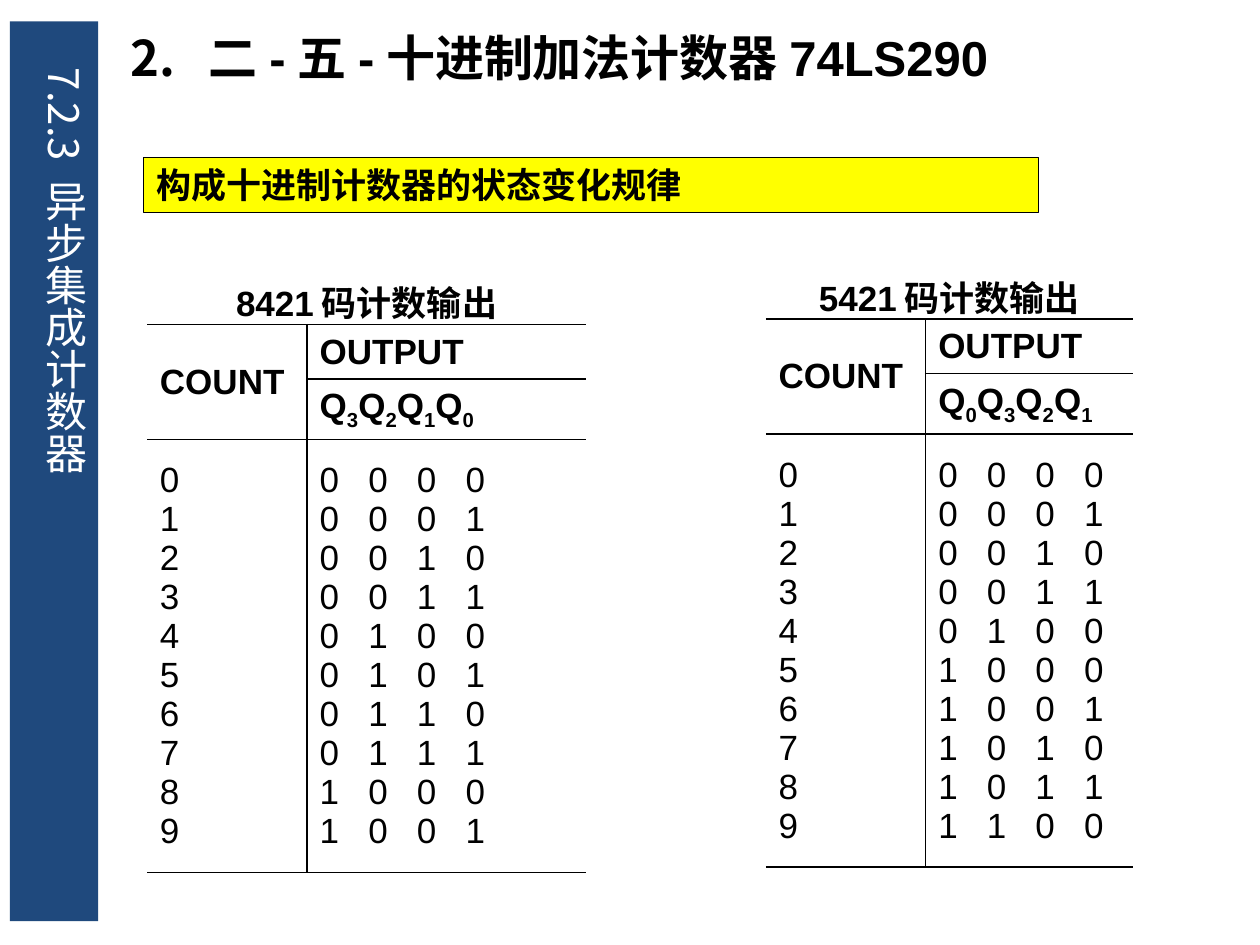
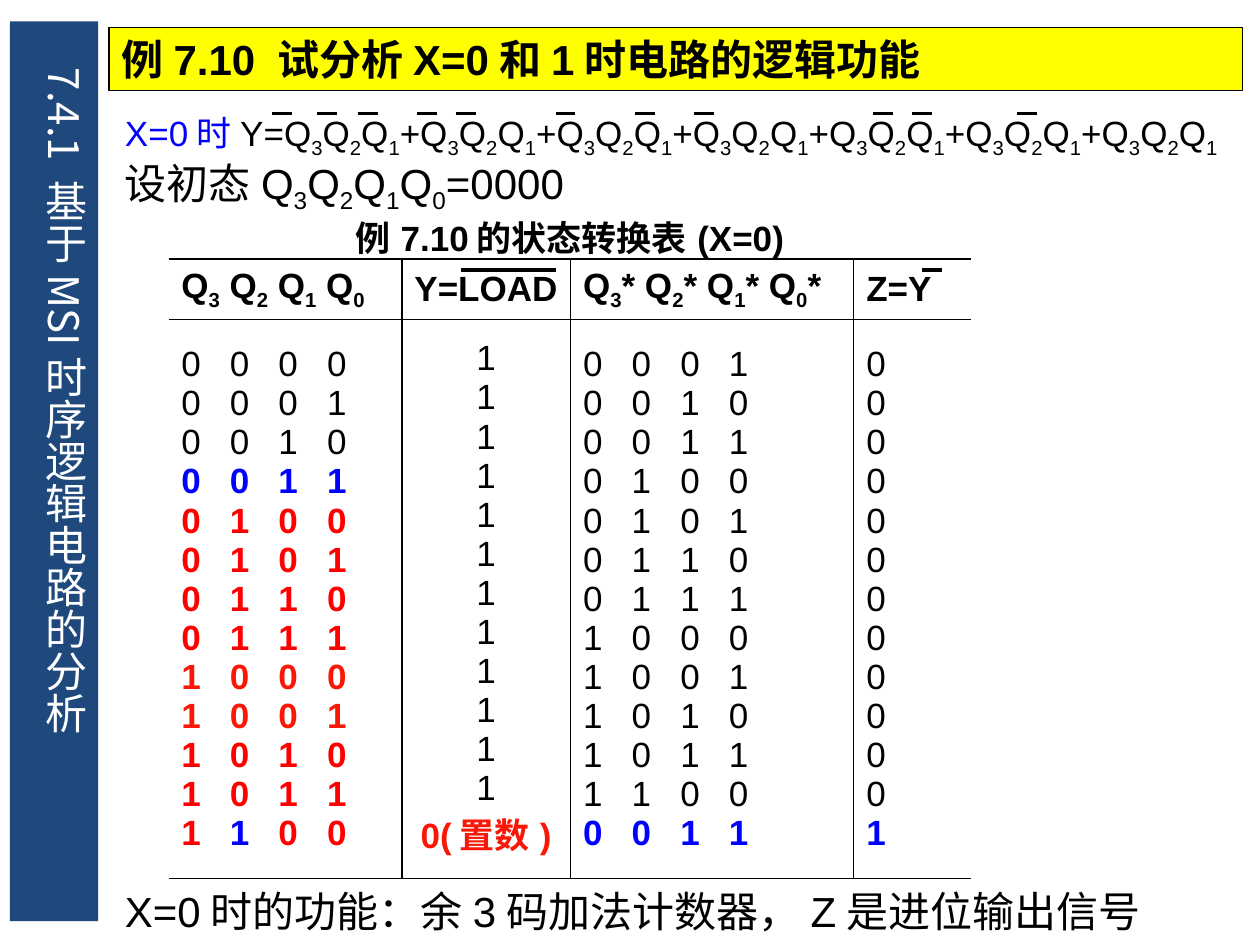
from lxml import etree
from pptx import Presentation
from pptx import util as u
from pptx.dml.color import RGBColor
from pptx.enum import shapes, text
from pptx.oxml.ns import qn

NAVY = RGBColor(0x1F, 0x49, 0x7D)
YELLOW = RGBColor(0xFF, 0xFF, 0x00)
BLACK = RGBColor(0x00, 0x00, 0x00)
WHITE = RGBColor(0xFF, 0xFF, 0xFF)
BLUE = RGBColor(0x00, 0x00, 0xFF)
RED = RGBColor(0xFF, 0x00, 0x00)
SCARLET = RGBColor(0xF9, 0x18, 0x07)

LATIN = "Arial"
CHINESE = "Noto Sans CJK SC"
NO_STYLE_NO_GRID = "{2D5ABB26-0587-4C30-8999-92F81FD0307C}"
BIT_PITCH = 0.98
HEADER_HEIGHT = 1.1


def write(frame, lines, size, bold=False, colour=BLACK, latin=LATIN):
    """Fill a text frame. A line is a string or a list of (text, colour, bold);
    an underscore makes the next character a subscript, tabs part the bits."""
    frame.word_wrap = True
    for index, line in enumerate(lines):
        paragraph = frame.add_paragraph() if index else frame.paragraphs[0]
        paragraph.alignment = text.PP_ALIGN.LEFT
        pieces = [(line, colour, bold)] if isinstance(line, str) else line
        if any("\t" in piece[0] for piece in pieces):
            stops = etree.SubElement(paragraph._p.get_or_add_pPr(), qn("a:tabLst"))
            for stop in range(1, 4):
                etree.SubElement(stops, qn("a:tab"), pos=str(u.Cm(stop * BIT_PITCH)), algn="l")
        for content, piece_colour, piece_bold in pieces:
            first, *others = content.split("_")
            runs = [(first, False)]
            for other in others:
                runs += [(other[0], True), (other[1:], False)]
            for run_text, subscript in runs:
                if not run_text:
                    continue
                run = paragraph.add_run()
                run.text = run_text
                run.font.size = u.Pt(size)
                run.font.bold = piece_bold
                run.font.color.rgb = piece_colour
                run.font.name = latin
                properties = run._r.get_or_add_rPr()
                etree.SubElement(properties, qn("a:ea"), typeface=CHINESE)
                if subscript:
                    properties.set("baseline", "-25000")


def add_state_table(slide, left, top, widths, body_height, caption, headers, columns):
    """Add a ruled table: caption, bold header rows, one tall row of states."""
    rows = [[[caption]]] + [[[label] if label else None for label in row] for row in headers]
    rows.append(columns)
    heights = [HEADER_HEIGHT] * (len(rows) - 1) + [body_height]
    table = slide.shapes.add_table(len(rows), len(widths), u.Cm(left), u.Cm(top),
                                   u.Cm(sum(widths)), u.Cm(sum(heights))).table
    table.first_row = table.horz_banding = False
    table._tbl.tblPr.find(qn("a:tableStyleId")).text = NO_STYLE_NO_GRID
    for column, width in zip(table.columns, widths):
        column.width = u.Cm(width)
    for row, height in zip(table.rows, heights):
        row.height = u.Cm(height)
    table.cell(0, 0).merge(table.cell(0, len(widths) - 1))
    if len(headers) == 2:
        table.cell(1, 0).merge(table.cell(2, 0))

    for row_index, row in enumerate(rows):
        for column_index in range(len(widths)):
            cell = table.cell(row_index, column_index)
            edges = ["a:lnB"]
            if row_index and column_index < len(widths) - 1:
                edges.insert(0, "a:lnR")
            for edge in edges:
                border = etree.SubElement(cell._tc.get_or_add_tcPr(), qn(edge), w=str(u.Pt(1)))
                fill = etree.SubElement(border, qn("a:solidFill"))
                etree.SubElement(fill, qn("a:srgbClr"), val=str(BLACK))
            cell.fill.background()
            cell.vertical_anchor = text.MSO_ANCHOR.MIDDLE
            if column_index < len(row) and row[column_index]:
                write(cell.text_frame, row[column_index], 20, bold=row_index < len(rows) - 1)
    table.cell(0, 0).text_frame.paragraphs[0].alignment = text.PP_ALIGN.CENTER
    return table


presentation = Presentation()
presentation.slide_width = u.Cm(25.4)
presentation.slide_height = u.Cm(19.05)

# Both slides: side band with vertical title, and a yellow topic box
slides = []
for section, topic, size, (left, top, width, height) in [
    ("7.2.3 异步集成计数器", "构成十进制计数器的状态变化规律", 20, (2.9, 3.17, 18.03, 1.11)),
    ("7.4.1 基于MSI时序逻辑电路的分析", "例7.10 试分析X=0和1时电路的逻辑功能", 24,
     (2.2, 0.55, 22.85, 1.27)),
]:
    slide = presentation.slides.add_slide(presentation.slide_layouts[6])
    slides.append(slide)
    band = slide.shapes.add_shape(shapes.MSO_SHAPE.RECTANGLE,
                                  u.Cm(0.2), u.Cm(0.43), u.Cm(1.78), u.Cm(18.14))
    band.shadow.inherit = False
    band.fill.solid()
    band.fill.fore_color.rgb = NAVY
    band.line.fill.background()

    title = slide.shapes.add_textbox(u.Cm(0.3), u.Cm(1.12), u.Cm(1.65), u.Cm(17.07))
    write(title.text_frame, [section], 24, colour=WHITE, latin=CHINESE)
    title.text_frame._txBody.bodyPr.set("vert", "eaVert")

    topic_box = slide.shapes.add_shape(shapes.MSO_SHAPE.RECTANGLE,
                                       u.Cm(left), u.Cm(top), u.Cm(width), u.Cm(height))
    topic_box.shadow.inherit = False
    topic_box.fill.solid()
    topic_box.fill.fore_color.rgb = YELLOW
    topic_box.line.color.rgb = BLACK
    topic_box.line.width = u.Pt(0.75)
    write(topic_box.text_frame, [topic], size, bold=True)

counter_slide, example_slide = slides
bits = ["\t".join(f"{state:04b}") for state in range(16)]

# Slide 1: numbered heading and the two counting codes
heading = counter_slide.shapes.add_textbox(u.Cm(2.39), u.Cm(0.43), u.Cm(22.94), u.Cm(1.45))
properties = heading.text_frame.paragraphs[0]._p.get_or_add_pPr()
properties.set("marL", str(u.Cm(1.57)))
properties.set("indent", str(u.Cm(-1.57)))
etree.SubElement(properties, qn("a:buAutoNum"), type="arabicPeriod", startAt="2")
write(heading.text_frame, ["二-五-十进制加法计数器74LS290"], 28, bold=True)

counts = [str(count) for count in range(10)]
for left, top, output_width, code, outputs, states in [
    (2.97, 5.44, 5.62, "8421", "Q_3Q_2Q_1Q_0", bits[:10]),
    (15.44, 5.33, 4.18, "5421", "Q_0Q_3Q_2Q_1", bits[:5] + bits[8:13]),
]:
    add_state_table(counter_slide, left, top, [3.22, output_width], 8.71, f"{code}码计数输出",
                    [["COUNT", "OUTPUT"], [None, outputs]], [counts, states])

# Slide 2: state transition table
row_colours = [BLUE] + [RED] * 4 + [SCARLET] * 2 + [RED] * 2
present = bits[:3] + [[(bits[state], colour, True)]
                      for state, colour in enumerate(row_colours, start=3)]
present.append([("1\t", RED, True), ("1", BLUE, True), ("\t0\t0", RED, True)])
load = ["1"] * 12 + [[("0(置数)", SCARLET, True)]]
following = bits[1:13] + [[(bits[3], BLUE, True)]]
carry = ["0"] * 12 + [[("1", BLUE, True)]]
transitions = add_state_table(
    example_slide, 3.4, 4.12, [4.7, 3.4, 5.71, 2.36], 11.25, "例7.10的状态转换表(X=0)",
    [["Q_3 Q_2 Q_1 Q_0", "Y=LOAD", "Q_3* Q_2* Q_1* Q_0*", "Z=Y"]],
    [present, load, following, carry])
for paragraph in transitions.cell(2, 1).text_frame.paragraphs:
    paragraph.alignment = text.PP_ALIGN.CENTER

# Slide 2: formula and statements
formula = "Y=" + "+".join(["Q_3Q_2Q_1"] * 7)
for top, height, size, line in [
    (2.13, 1.1, 20, [("X=0时", BLUE, False), (formula, BLACK, False)]),
    (3.05, 1.27, 24, "设初态Q_3Q_2Q_1Q_0=0000"),
    (17.73, 1.27, 24, "X=0时的功能：余3码加法计数器，Z是进位输出信号"),
]:
    statement = example_slide.shapes.add_textbox(u.Cm(2.27), u.Cm(top), u.Cm(23.1), u.Cm(height))
    write(statement.text_frame, [line], size)

# Slide 2: negation bars over the formula and the table headers
bars = [(left, 2.29, 0.4, 1.5) for left in
        (5.49, 6.4, 7.21, 8.41, 9.19, 11.2, 12.8, 14, 17.6, 18.39, 20.5)]
bars += [(9.3, 5.44, 1.9, 2), (18.59, 5.44, 0.4, 2)]
for left, top, length, weight in bars:
    bar = example_slide.shapes.add_connector(shapes.MSO_CONNECTOR.STRAIGHT, u.Cm(left), u.Cm(top),
                                             u.Cm(left + length), u.Cm(top))
    bar.line.color.rgb = BLACK
    bar.line.width = u.Pt(weight)
    etree.SubElement(bar._element.spPr, qn("a:effectLst"))

presentation.save("out.pptx")
